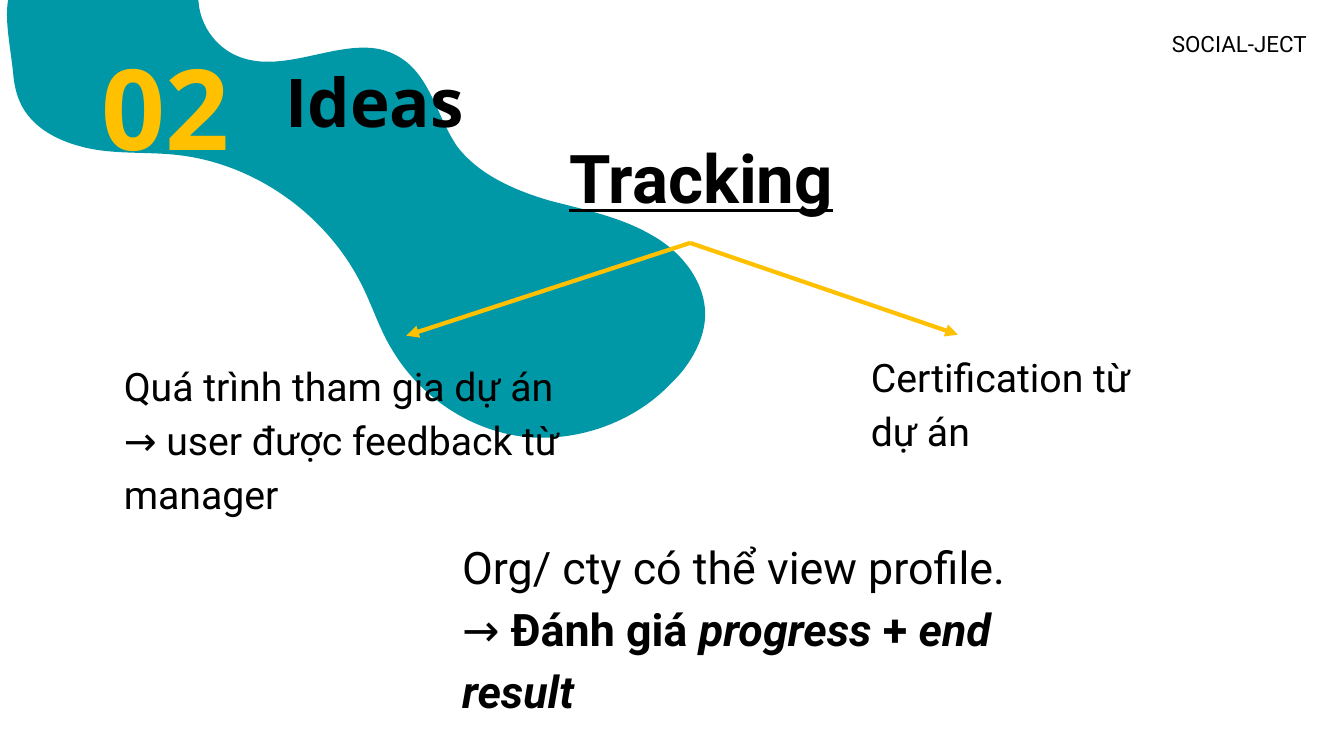
import math

import pptx
import pptx.util
import pptx.dml.color
import pptx.enum.shapes
import pptx.enum.text
import pptx.oxml.ns
import lxml.etree

COLORS = {"teal": "0097A7", "amber": "FFC000", "black": "000000"}
ALIGN = pptx.enum.text.PP_ALIGN
ANCHOR = pptx.enum.text.MSO_ANCHOR
qn = pptx.oxml.ns.qn

prs = pptx.Presentation()
prs.slide_width = pptx.util.Inches(13.33)
prs.slide_height = pptx.util.Inches(7.5)
CELL = prs.slide_height / 75  # square grid of 75 rows
s = prs.slides.add_slide(prs.slide_layouts[6])


def grid(*cells):
    """Turn grid columns and rows into slide lengths."""
    return [round(c * CELL) for c in cells]


def rgb(name):
    return pptx.dml.color.RGBColor.from_string(COLORS[name])


# Blob: each row holds two control points and the end of a Bezier curve
blob_box = (16.1, -19.5, 36.7, 74.4)
blob_turn = 315
blob_start = (2.2, -2.8)
blob_curves = [
    (-0.1, -0.4, 0.8, 2.8, 1.3, 7.1),
    (1.4, 8.5, 1.7, 9.8, 2.4, 10.9),
    (3.6, 12.8, 5.7, 13.9, 7.9, 14.5),
    (11.1, 15.4, 14.5, 15, 17.8, 15.4),
    (25.3, 16.3, 32.2, 21.2, 35.7, 27.9),
    (36.9, 30.2, 37.6, 32.6, 38.9, 34.7),
    (41.8, 39.6, 47.1, 43, 52.7, 43.4),
    (57.7, 43.7, 62.9, 41.8, 66.4, 38.2),
    (66.8, 37.8, 67.3, 37.3, 67.7, 36.8),
    (68.8, 35.4, 69.7, 33.7, 69.9, 31.9),
    (70.3, 28.3, 67.7, 25, 64.6, 23.3),
    (61.5, 21.5, 57.9, 20.8, 54.5, 19.9),
    (51.1, 18.9, 47.6, 17.4, 45.4, 14.6),
    (43.3, 11.6, 42.7, 7.4, 39.5, 5.6),
    (35, 2.9, 28.9, 7.5, 23.9, 5.7),
    (21.6, 4.9, 19.9, 2.7, 19.7, 0.2),
    (19.6, -1, 19.9, -2.2, 19.7, -3.4),
    (19.2, -6.4, 16.1, -8.4, 13.1, -8.3),
    (10.1, -8.2, 4.3, -4.2, 4.3, -4.2),
    (3.4, -3.8, 2.7, -3.3, 2.2, -2.8),
]
left, top, width, height = blob_box
cos = math.cos(math.radians(-blob_turn))
sin = math.sin(math.radians(-blob_turn))
# Turn the points back into the upright frame, before the shape is rotated
points = []
for x, y in [blob_start] + [c[i:i + 2] for c in blob_curves for i in (0, 2, 4)]:
    dx, dy = x - left - width / 2, y - top - height / 2
    points.append(grid(width / 2 + cos * dx - sin * dy, height / 2 + sin * dx + cos * dy))

builder = s.shapes.build_freeform(*points[0])
builder.add_line_segments(points[3::3], close=True)
sp = builder.convert_to_shape()
sp.left, sp.top, sp.width, sp.height = grid(*blob_box)
sp.rotation = blob_turn
sp.shadow.inherit = False
sp.fill.solid()
sp.fill.fore_color.rgb = rgb("teal")
sp.line.fill.background()

# Swap the straight segments for curves
outline = next(sp._element.iter(qn("a:path")))
outline.set("w", str(sp.width))
outline.set("h", str(sp.height))
start = next(outline.iter(qn("a:pt")))
start.set("x", str(points[0][0]))
start.set("y", str(points[0][1]))
for i, segment in enumerate(outline.findall(qn("a:lnTo"))):
    curve = lxml.etree.Element(qn("a:cubicBezTo"))
    for x, y in points[3 * i + 1:3 * i + 4]:
        lxml.etree.SubElement(curve, qn("a:pt"), x=str(x), y=str(y))
    outline.replace(segment, curve)

# Arrows fan out from below the heading
apex = (68.45, 24.1)
for tip in [(40.3, 33.3), (95, 33.2)]:
    sp = s.shapes.add_connector(
        pptx.enum.shapes.MSO_CONNECTOR.STRAIGHT, *grid(*apex, *tip))
    sp.line.color.rgb = rgb("amber")
    sp.line.width = pptx.util.Pt(3)
    ln = sp.line._get_or_add_ln()
    lxml.etree.SubElement(ln, qn("a:tailEnd"), type="triangle")
    lxml.etree.SubElement(sp._element.spPr, qn("a:effectLst"))

# Texts: box on the grid, anchor, paragraph format, color, font, paragraphs of runs
head = {"line_spacing": 0.9}
body = {"line_spacing": 1.15}
open_sans = {"name": "Open Sans", "bold": True}
roboto = {"name": "Roboto"}
bold = {"bold": True}
bold_italic = {"bold": True, "italic": True}
texts = [
    ((27, 5.6, 36.3, 13.8), ANCHOR.TOP, head, "black",
     {**open_sans, "size": 48}, [[("Ideas", {})]]),
    ((8.75, 7.1, 35.2, 8.4), ANCHOR.MIDDLE, head, "amber",
     {**open_sans, "size": 80}, [[("02", {})]]),
    ((51.65, 11, 33.6, 10.5), ANCHOR.TOP, {**body, "alignment": ALIGN.CENTER}, "black",
     {**roboto, "size": 48, "bold": True, "underline": True}, [[("Tracking", {})]]),
    ((112.7, 1.25, 20.6, 5.6), ANCHOR.TOP, body, "black",
     {**roboto, "size": 16}, [[("SOCIAL-JECT", {})]]),
    ((8.75, 33.9, 51, 10.5), ANCHOR.TOP, body, "black", {**roboto, "size": 28},
     [[("Quá trình tham gia dự án → user được feedback từ manager", {})]]),
    ((82.85, 33, 33.6, 10.5), ANCHOR.TOP, body, "black", {**roboto, "size": 28},
     [[("Certification từ dự án", {})]]),
    ((42.3, 51.4, 60, 10.5), ANCHOR.TOP, body, "black", {**roboto, "size": 32},
     [[("Org/ cty có thể view profile.", {})],
      [("→ ", {}), ("Đánh giá ", bold), ("progress", bold_italic),
       (" + ", bold), ("end result", bold_italic)]]),
]
inset, indent = grid(1.33, 2.2)
for box, anchor, para, color, font, paragraphs in texts:
    tf = s.shapes.add_textbox(*grid(*box)).text_frame
    tf.word_wrap = True
    tf.vertical_anchor = anchor
    for side in ("left", "top", "right", "bottom"):
        setattr(tf, "margin_" + side, inset)
    for i, runs in enumerate(paragraphs):
        p = tf.add_paragraph() if i else tf.paragraphs[0]
        for key, value in para.items():
            setattr(p, key, value)
        if font["name"] == "Roboto":
            p._p.get_or_add_pPr().set("marL", str(indent))
        for text, extra in runs:
            r = p.add_run()
            r.text = text
            for key, value in {**font, **extra}.items():
                setattr(r.font, key, pptx.util.Pt(value) if key == "size" else value)
            r.font.color.rgb = rgb(color)

prs.save("out.pptx")
